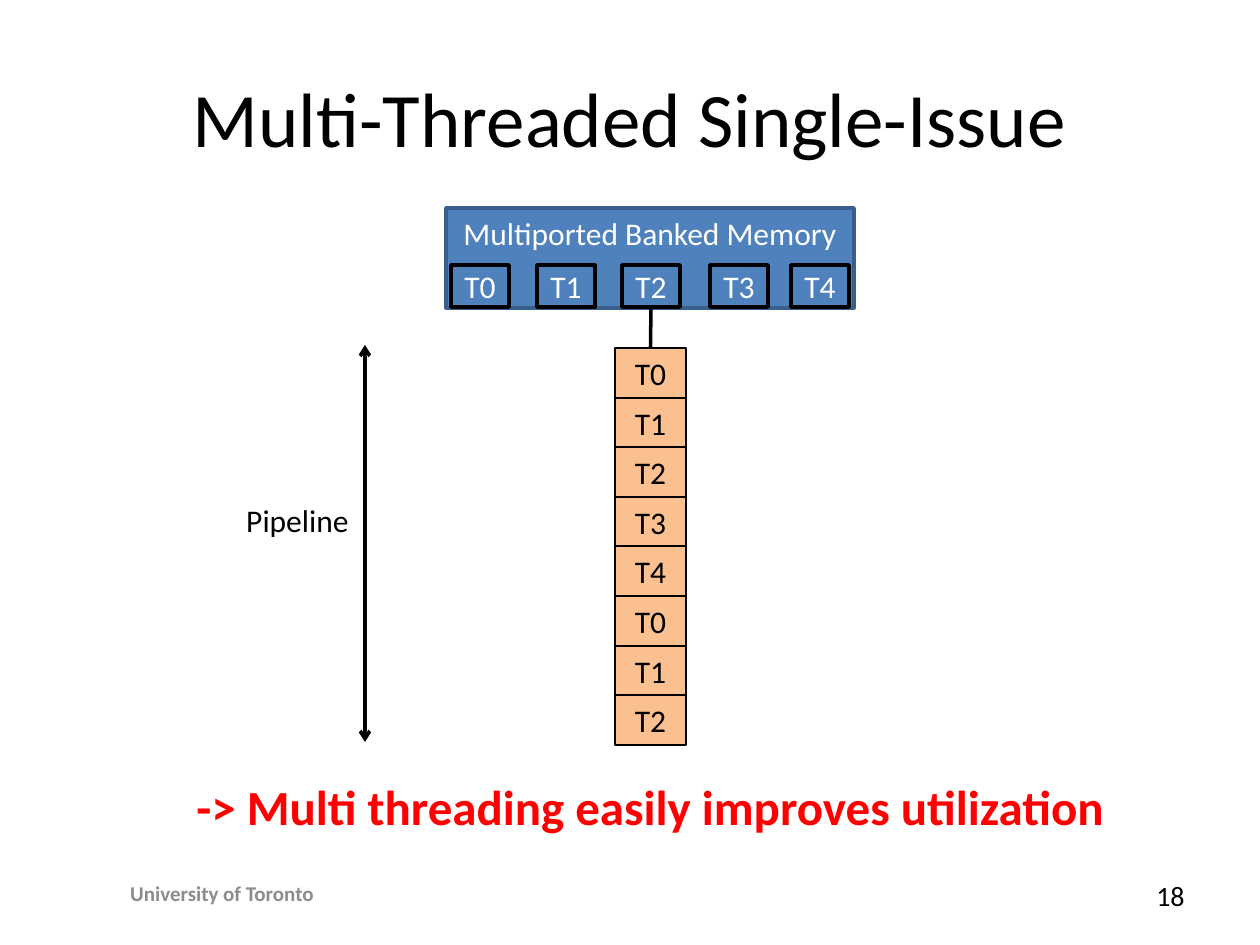
from dataclasses import dataclass

from lxml import etree
from pptx import Presentation
from pptx.dml.color import RGBColor
from pptx.enum.shapes import MSO_CONNECTOR, MSO_SHAPE
from pptx.enum.text import MSO_ANCHOR, PP_ALIGN
from pptx.oxml.ns import qn
from pptx.util import Emu, Pt

PX_PER_INCH = 126


@dataclass(frozen=True)
class Theme:
    font: str = "Calibri"
    black: str = "000000"
    white: str = "FFFFFF"
    blue: str = "4F81BD"
    blue_edge: str = "3A5F8C"
    orange: str = "FAC090"
    red: str = "FF0000"
    grey: str = "8C8C8C"
    title: int = 44
    takeaway: int = 28
    body: int = 18
    number: int = 16
    footer: int = 12
    thin: float = 0.75
    thick: float = 2


THEME = Theme()


def px(n):
    return Emu(round(n * 914400 / PX_PER_INCH))


def write(sp, text, size, color, anchor=MSO_ANCHOR.TOP,
          align=PP_ALIGN.CENTER, bold=False):
    tf = sp.text_frame
    tf.word_wrap = True
    tf.vertical_anchor = anchor
    p = tf.paragraphs[0]
    p.alignment = align
    r = p.add_run()
    r.text = text
    r.font.name = THEME.font
    r.font.size = Pt(size)
    r.font.bold = bold
    r.font.color.rgb = RGBColor.from_string(color)


def add_label(s, box, text, size, color, **style):
    sp = s.shapes.add_textbox(*map(px, box))
    write(sp, text, size, color, **style)


def add_block(s, box, text, fill, edge, width, color, **style):
    sp = s.shapes.add_shape(MSO_SHAPE.RECTANGLE, *map(px, box))
    sp.shadow.inherit = False
    sp.fill.solid()
    sp.fill.fore_color.rgb = RGBColor.from_string(fill)
    sp.line.color.rgb = RGBColor.from_string(edge)
    sp.line.width = Pt(width)
    write(sp, text, THEME.body, color, **style)
    return sp


def add_line(s, x1, y1, x2, y2, arrows=False):
    line = s.shapes.add_connector(MSO_CONNECTOR.STRAIGHT, *map(px, (x1, y1, x2, y2)))
    line.line.color.rgb = RGBColor.from_string(THEME.black)
    line.line.width = Pt(THEME.thick)
    if arrows:
        ln = line.line._get_or_add_ln()
        for end in ("a:headEnd", "a:tailEnd"):
            etree.SubElement(ln, qn(end), type="arrow")
    etree.SubElement(line._element.spPr, qn("a:effectLst"))
    return line


def add_pipeline(s):
    """Stack eight stages, cycling through five threads."""
    left, top, width, height, count, threads = 615, 348, 71, 397, 8, 5
    pitch = height / count
    return [
        add_block(s, (left, round(top + i * pitch), width, round(pitch)),
                  f"T{i % threads}", THEME.orange, THEME.black, THEME.thin, THEME.black)
        for i in range(count)
    ]


def add_memory(s):
    """Draw the memory with one bank per thread."""
    add_block(s, (446, 208, 408, 100), "Multiported Banked Memory",
              THEME.blue, THEME.blue_edge, THEME.thick, THEME.white)
    return [
        add_block(s, (left, 265, 58, 42), f"T{i}", THEME.blue, THEME.black,
                  THEME.thick, THEME.white, anchor=MSO_ANCHOR.MIDDLE)
        for i, left in enumerate((451, 537, 622, 710, 791))
    ]


def main():
    prs = Presentation()
    prs.slide_width, prs.slide_height = px(1260), px(945)
    s = prs.slides.add_slide(prs.slide_layouts[6])

    # Title and footer
    middle = MSO_ANCHOR.MIDDLE
    add_label(s, (63, 38, 1134, 157), "Multi-Threaded Single-Issue",
              THEME.title, THEME.black, anchor=middle)
    add_label(s, (23, 868, 398, 50), "University of Toronto",
              THEME.footer, THEME.grey, anchor=middle, bold=True)
    add_label(s, (903, 870, 294, 50), "18", THEME.number, THEME.black,
              anchor=middle, align=PP_ALIGN.RIGHT)

    # Memory feeding the pipeline
    stages = add_pipeline(s)
    banks = add_memory(s)
    feed = add_line(s, 651, 307, 650, 348)
    feed.begin_connect(banks[2], 2)
    feed.end_connect(stages[0], 0)

    # Pipeline extent
    add_line(s, 365, 345, 365, 742, arrows=True)
    add_label(s, (228, 495, 139, 51), "Pipeline", THEME.body, THEME.black)

    # Takeaway
    add_label(s, (78, 770, 1144, 72), "-> Multi threading easily improves utilization",
              THEME.takeaway, THEME.red, bold=True)

    prs.save("out.pptx")


if __name__ == "__main__":
    main()
